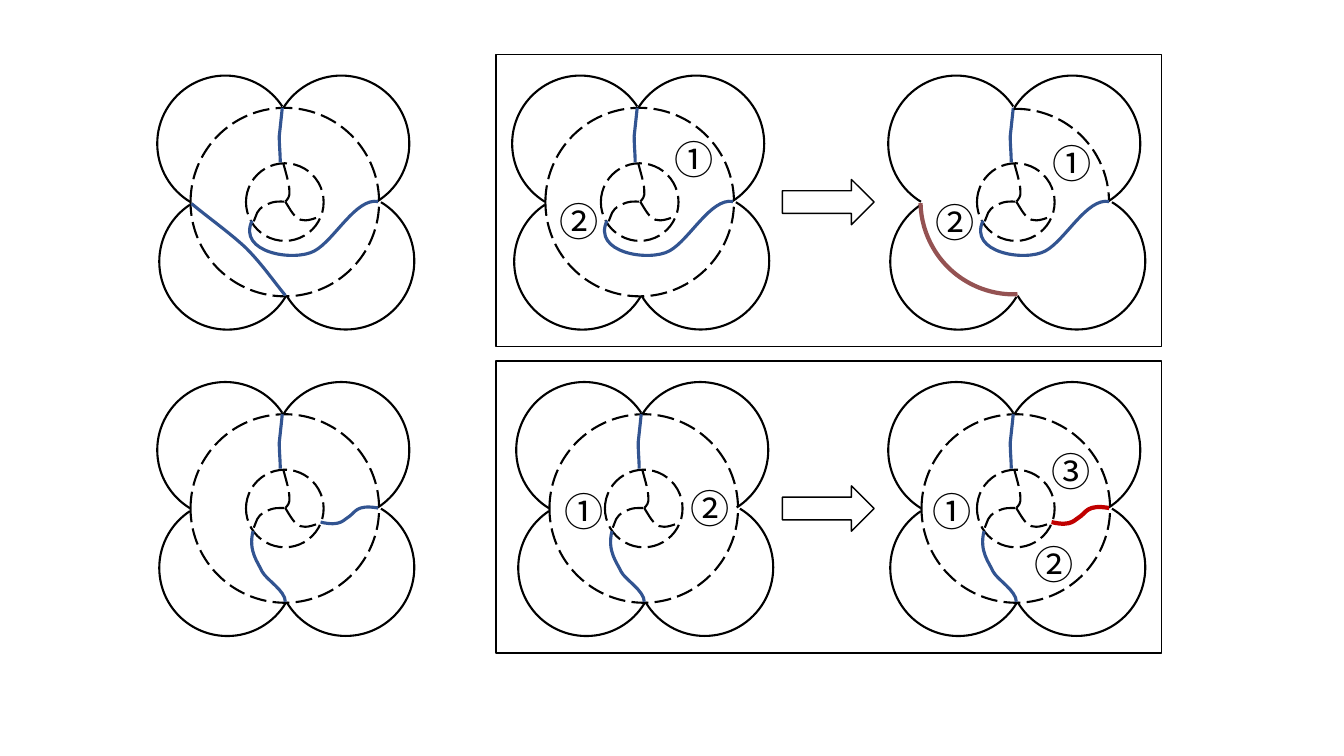
import pptx
import pptx.dml.color
import pptx.enum.dml
import pptx.enum.shapes
import pptx.enum.text
import pptx.oxml
import pptx.util
from pptx.oxml.ns import nsdecls, qn

Inches, Pt = pptx.util.Inches, pptx.util.Pt
SHAPE = pptx.enum.shapes.MSO_SHAPE

BLACK, BLUE, RED, BROWN = "000000", "325491", "C00000", "945252"
LABEL_FONT, LABEL_SIZE = "Noto Sans CJK SC", 28

# Parts of a flower, in inches, as placed in the top left one
OUTER_RING = (1.89, 1.07, 1.87)
INNER_RING = (2.44, 1.62, 0.77)
PETALS = [  # left, top, size, start and end of the arc
    (2.71, 0.75, 1.35, 127.019, 34.559),
    (1.56, 0.75, 1.35, 72.777, 196.091),
    (1.58, 1.92, 1.35, 18.8, 141.989),
    (2.75, 1.91, 1.36, 180.562, 89.675),
]
# Curves: a start point, then three points for each Bezier segment
SPOKES = [
    [(2.81, 1.62), (2.84, 1.73), (2.87, 1.83), (2.87, 1.89),
     (2.88, 1.95), (2.85, 1.98), (2.83, 2.0)],
    [(2.82, 2.0), (2.77, 2.0), (2.71, 1.99), (2.63, 2.04),
     (2.54, 2.08), (2.55, 2.13), (2.51, 2.21)],
    [(2.83, 2.0), (2.88, 2.08), (2.92, 2.16), (2.98, 2.18),
     (3.04, 2.2), (3.12, 2.17), (3.19, 2.14)],
]
STEM = [(2.8, 1.07), (2.79, 1.17), (2.78, 1.26), (2.77, 1.35),
        (2.77, 1.44), (2.78, 1.53), (2.78, 1.61)]
DIAGONAL = [(1.9, 2.02), (2.08, 2.17), (2.28, 2.31), (2.44, 2.46),
            (2.59, 2.61), (2.7, 2.77), (2.83, 2.93)]
HOOK = [(2.5, 2.19), (2.35, 2.51), (2.92, 2.6), (3.12, 2.49),
        (3.32, 2.38), (3.53, 1.96), (3.75, 2.0)]
ROOT = [(2.51, 2.23), (2.46, 2.43), (2.56, 2.54), (2.6, 2.63),
        (2.64, 2.71), (2.83, 2.82), (2.83, 2.93)]
BRANCH = [(3.18, 2.14), (3.39, 2.19), (3.41, 2.11), (3.47, 2.08),
          (3.52, 2.05), (3.53, 1.96), (3.75, 2.0)]

ROW_STEP = 3.04
FLOWERS = [  # shift right, row, outer ring drawn, coloured curves
    (0, 0, True, [(STEM, BLUE, 2.25), (DIAGONAL, BLUE, 2.25), (HOOK, BLUE, 2.25)]),
    (3.52, 0, True, [(STEM, BLUE, 2.25), (HOOK, BLUE, 2.25)]),
    (7.25, 0, False, [(STEM, BLUE, 2.25), (HOOK, BLUE, 2.25)]),
    (0, 1, True, [(STEM, BLUE, 2.25), (ROOT, BLUE, 2.25), (BRANCH, BLUE, 2.25)]),
    (3.56, 1, True, [(STEM, BLUE, 2.25), (ROOT, BLUE, 2.25)]),
    (7.25, 1, True, [(STEM, BLUE, 2.25), (ROOT, BLUE, 2.25), (BRANCH, RED, 3)]),
]
RING_ARCS = [  # left, top, size, start, end, colour, width, dashed
    (9.13, 1.07, 1.85, 52.63, 107.238, BROWN, 3, False),
    (9.15, 1.08, 1.85, 161.231, 215.194, BLACK, 1.5, True),
]
FRAME = (4.92, 0.54, 6.6, 2.9)
ARROW = (7.76, 1.78, 0.91, 0.45)
LABELS = [
    ("①", 6.59, 1.29), ("②", 5.45, 1.91), ("①", 10.34, 1.33), ("②", 9.18, 1.92),
    ("①", 5.5, 4.79), ("②", 6.75, 4.76),
    ("①", 9.15, 4.79), ("②", 10.16, 5.31), ("③", 10.33, 4.39),
]


def rgb(colour):
    return pptx.dml.color.RGBColor.from_string(colour)


def outline(shape, colour, width, dashed=False):
    shape.shadow.inherit = False
    shape.fill.background()
    shape.line.color.rgb = rgb(colour)
    shape.line.width = Pt(width)
    if dashed:
        shape.line.dash_style = pptx.enum.dml.MSO_LINE.LONG_DASH


def add_outline(shapes, kind, box, colour=BLACK, width=1.5, dashed=False, angles=()):
    shape = shapes.add_shape(kind, *map(Inches, box))
    for index, angle in enumerate(angles):
        shape.adjustments[index] = angle
    outline(shape, colour, width, dashed)


def bezier(points, t):
    weights = ((1 - t) ** 3, 3 * t * (1 - t) ** 2, 3 * t * t * (1 - t), t ** 3)
    return tuple(sum(w * p[axis] for w, p in zip(weights, points)) for axis in (0, 1))


def add_curve(shapes, points, dx, dy, colour, width, dashed=False):
    points = [(Inches(x + dx), Inches(y + dy)) for x, y in points]
    segments = [points[i:i + 4] for i in range(0, len(points) - 1, 3)]
    # Points along the curve give the shape its true bounds
    builder = shapes.build_freeform(*points[0])
    builder.add_line_segments(
        [bezier(seg, step / 20) for seg in segments for step in range(1, 21)], close=False)
    curve = builder.convert_to_shape()
    # Swap the straight pieces for Bezier segments
    outline_path = next(curve._element.iter(qn("a:path")))
    for line in outline_path.findall(qn("a:lnTo")):
        outline_path.remove(line)
    for seg in segments:
        handles = "".join(f'<a:pt x="{x - curve.left}" y="{y - curve.top}"/>'
                          for x, y in seg[1:])
        outline_path.append(pptx.oxml.parse_xml(
            f'<a:cubicBezTo {nsdecls("a")}>{handles}</a:cubicBezTo>'))
    outline(curve, colour, width, dashed)


def add_flower(shapes, dx, row, has_outer_ring, curves):
    dy = row * ROW_STEP
    group = shapes.add_group_shape().shapes
    for left, top, size in [OUTER_RING, INNER_RING][0 if has_outer_ring else 1:]:
        add_outline(group, SHAPE.OVAL, (left + dx, top + dy, size, size), dashed=True)
    for left, top, size, *angles in PETALS:
        add_outline(group, SHAPE.ARC, (left + dx, top + dy, size, size), angles=angles)
    for spoke in SPOKES:
        add_curve(shapes, spoke, dx, dy, BLACK, 1.5, dashed=True)
    for points, colour, width in curves:
        add_curve(shapes, points, dx, dy, colour, width)


def add_label(shapes, text, left, top):
    label = shapes.add_textbox(*map(Inches, (left, top, 0.59, 0.57)))
    label.text_frame.word_wrap = False
    label.text_frame.auto_size = pptx.enum.text.MSO_AUTO_SIZE.SHAPE_TO_FIT_TEXT
    run = label.text_frame.paragraphs[0].add_run()
    run.text = text
    run.font.name = LABEL_FONT
    run.font.size = Pt(LABEL_SIZE)
    run.font.color.rgb = rgb(BLACK)


def main():
    deck = pptx.Presentation()
    deck.slide_width, deck.slide_height = Inches(13.33), Inches(7.5)
    shapes = deck.slides.add_slide(deck.slide_layouts[6]).shapes

    # Flowers and the ring arcs of the top right one
    for flower in FLOWERS:
        add_flower(shapes, *flower)
    for left, top, size, start, end, colour, width, dashed in RING_ARCS:
        add_outline(shapes, SHAPE.ARC, (left, top, size, size), colour, width, dashed,
                    (start, end))

    # Frame and arrow of each row
    for row in range(2):
        for kind, (left, top, width, height) in ((SHAPE.RECTANGLE, FRAME),
                                                 (SHAPE.RIGHT_ARROW, ARROW)):
            add_outline(shapes, kind, (left, top + row * ROW_STEP, width, height), width=1)

    # Region numbers
    for label in LABELS:
        add_label(shapes, *label)

    deck.save("out.pptx")


if __name__ == "__main__":
    main()
